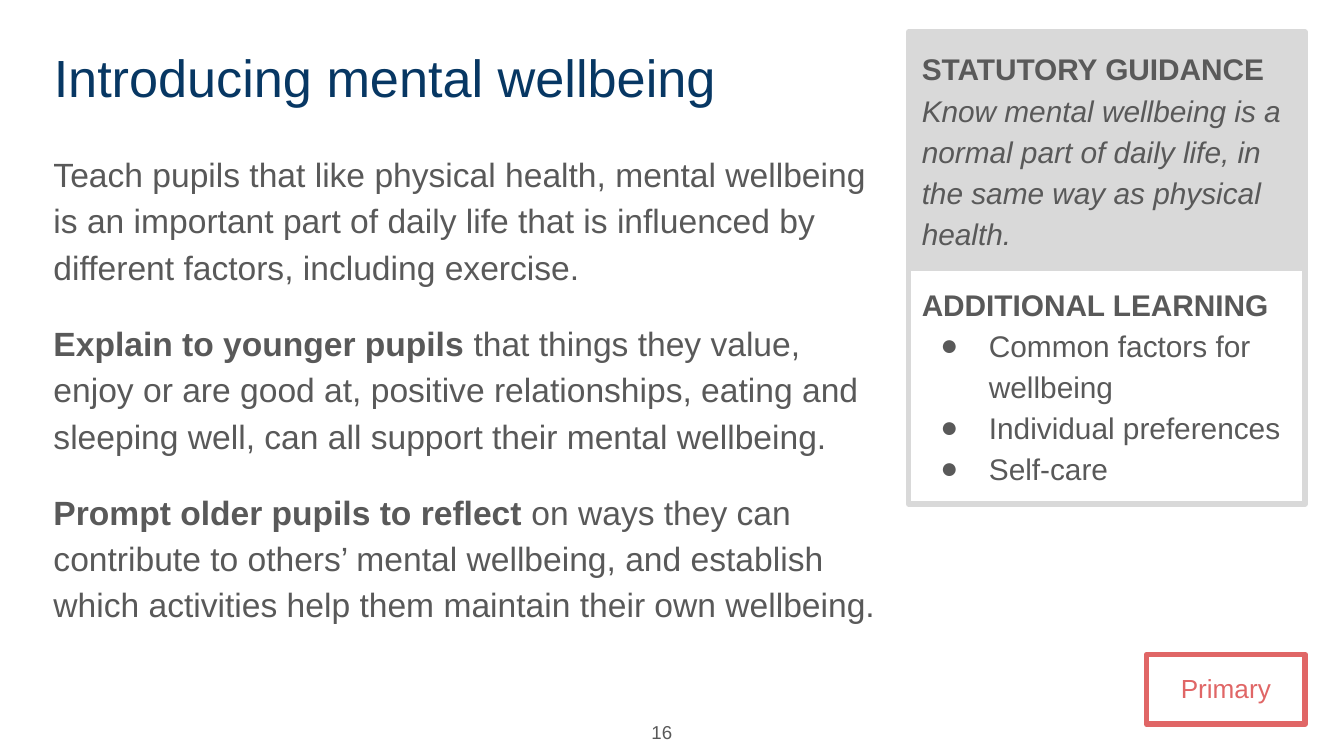
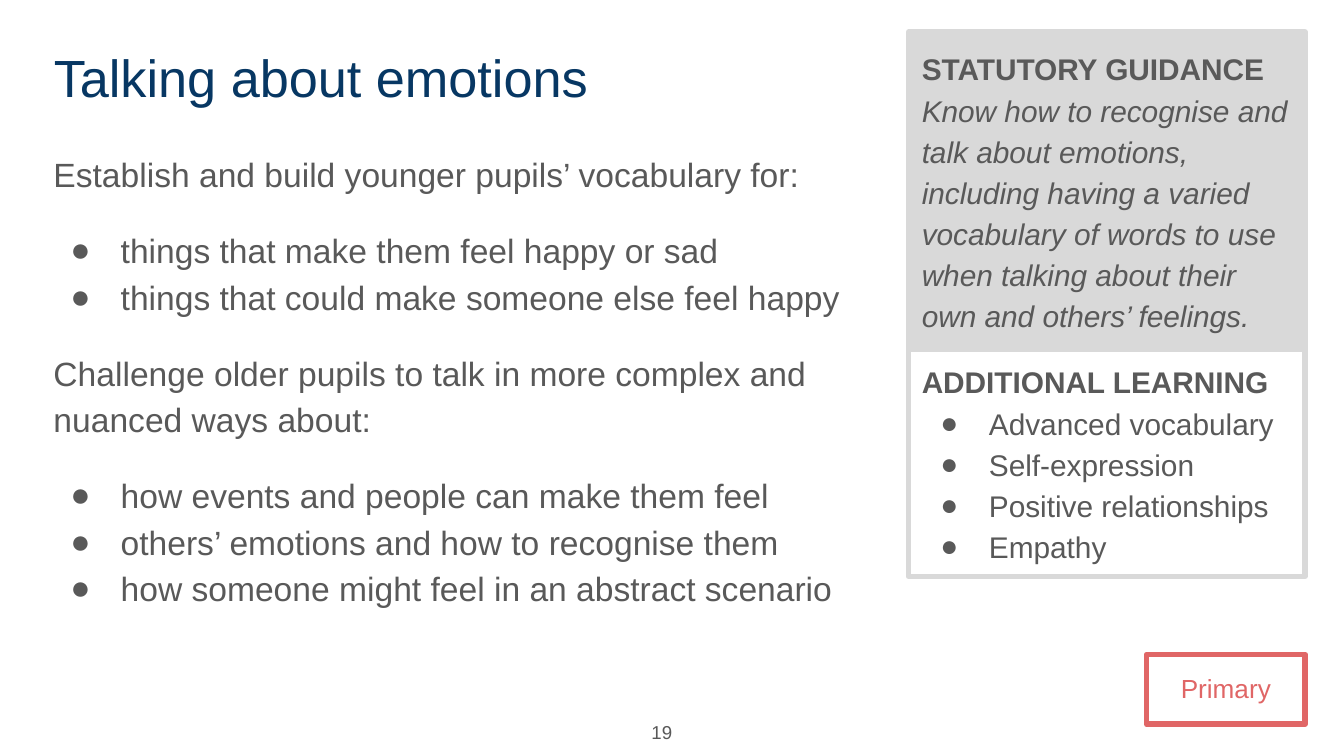
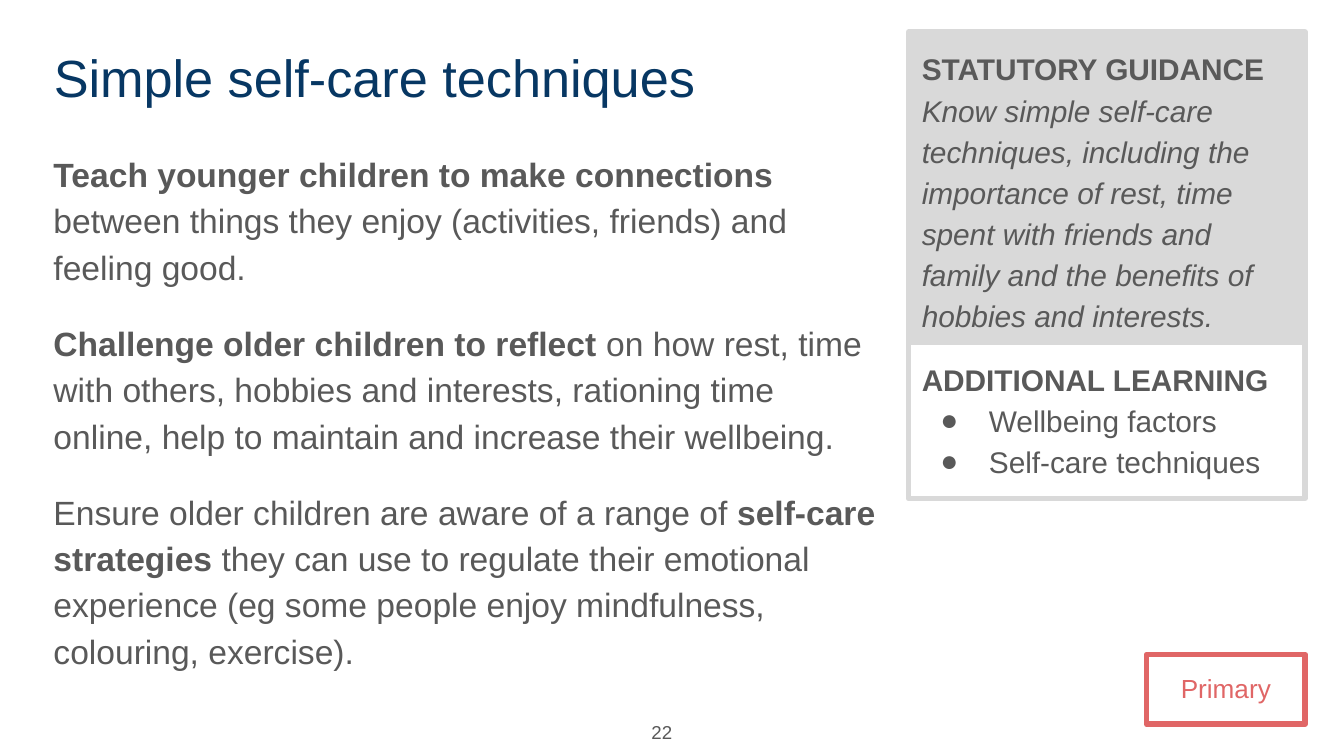
import pptx
import pptx.chart.data
import pptx.dml.color
import pptx.enum.shapes
import pptx.enum.text
import pptx.oxml.ns
import pptx.util
from lxml import etree

Pt = pptx.util.Pt
Align = pptx.enum.text.PP_ALIGN
Anchor = pptx.enum.text.MSO_ANCHOR
qn = pptx.oxml.ns.qn

FONT = "Arial"
COLOURS = {"title": "073763", "text": "595959", "panel": "D9D9D9", "tag": "E06666"}
INSET, LEADING, GAP = 7.2, 1.15, 16
LEFT, TOP = 21.6, 17.28
SIDE, SIDE_W = 486.72, 212.4

# In "body", a nested list holds bullets and *stars* mark bold words.
# "rule" is the height of the guidance panel; "extra" is top and height of the panel below.
SLIDES = [
    {
        "title": "Introducing mental wellbeing",
        "page": "16",
        "body": [
            "Teach pupils that like physical health, mental wellbeing is an important part of "
            "daily life that is influenced by different factors, including exercise.",
            "*Explain to younger pupils *that things they value, enjoy or are good at, positive "
            "relationships, eating and sleeping well, can all support their mental wellbeing.",
            "*Prompt older pupils to reflect* on ways they can contribute to others’ mental "
            "wellbeing, and establish which activities help them maintain their own wellbeing.",
        ],
        "guide": "Know mental wellbeing is a normal part of daily life, in the same way as "
                 "physical health.",
        "learn": ["Common factors for wellbeing", "Individual preferences", "Self-care"],
        "rule": 126.7,
        "extra": (143.3, 126.7),
    },
    {
        "title": "Talking about emotions",
        "page": "19",
        "body": [
            "Establish and build younger pupils’ vocabulary for:",
            ["things that make them feel happy or sad",
             "things that could make someone else feel happy"],
            "Challenge older pupils to talk in more complex and nuanced ways about:",
            ["how events and people can make them feel",
             "others’ emotions and how to recognise them",
             "how someone might feel in an abstract scenario"],
        ],
        "guide": "Know how to recognise and talk about emotions, including having a varied "
                 "vocabulary of words to use when talking about their own and others’ feelings.",
        "learn": ["Advanced vocabulary", "Self-expression", "Positive relationships", "Empathy"],
        "rule": 170,
        "extra": (185, 123.8),
    },
    {
        "title": "Simple self-care techniques",
        "page": "22",
        "body": [
            "*Teach younger children to make connections* between things they enjoy "
            "(activities, friends) and feeling good.",
            "*Challenge older children to reflect* on how rest, time with others, hobbies and "
            "interests, rationing time online, help to maintain and increase their wellbeing.",
            "Ensure older children are aware of a range of *self-care strategies* they can use "
            "to regulate their emotional experience (eg some people enjoy mindfulness, "
            "colouring, exercise).",
        ],
        "guide": "Know simple self-care techniques, including the importance of rest, time "
                 "spent with friends and family and the benefits of hobbies and interests.",
        "learn": ["Wellbeing factors", "Self-care techniques"],
        "rule": 166.3,
        "extra": (183.6, 83.5),
    },
]


def rgb(name):
    return pptx.dml.color.RGBColor.from_string(COLOURS[name])


def frame(shape, anchor=Anchor.TOP):
    """Give the shape's text frame the shared insets and wrapping."""
    text = shape.text_frame
    text.auto_size = pptx.enum.text.MSO_AUTO_SIZE.NONE
    text.word_wrap = True
    text.vertical_anchor = anchor
    text.margin_left = text.margin_right = Pt(INSET)
    text.margin_top = text.margin_bottom = Pt(INSET)
    return text


def style(para, size, colour="text", align=Align.LEFT, leading=LEADING):
    para.alignment = align
    para.line_spacing = leading
    for run in para.runs:
        run.font.name = FONT
        run.font.size = Pt(size)
        run.font.color.rgb = rgb(colour)
    for brk in para._p.findall(qn("a:br")):
        etree.SubElement(brk, qn("a:rPr")).set("sz", str(size * 100))


def bullet(para, hang):
    props = para._p.get_or_add_pPr()
    props.set("marL", str(Pt(36)))
    props.set("indent", str(-Pt(hang)))
    tint = etree.SubElement(props, qn("a:buClr"))
    etree.SubElement(tint, qn("a:srgbClr")).set("val", COLOURS["text"])
    etree.SubElement(props, qn("a:buFont")).set("typeface", FONT)
    etree.SubElement(props, qn("a:buChar")).set("char", "●")


def box(slide, left, top, width, height, line, fill=None):
    """Add a rectangle with a thick, round-cornered outline."""
    shape = slide.shapes.add_shape(pptx.enum.shapes.MSO_SHAPE.RECTANGLE,
                                   Pt(left), Pt(top), Pt(width), Pt(height))
    shape.shadow.inherit = False
    if fill:
        shape.fill.solid()
        shape.fill.fore_color.rgb = rgb(fill)
    else:
        shape.fill.background()
    shape.line.color.rgb = rgb(line)
    shape.line.width = Pt(3)
    etree.SubElement(shape.line._get_or_add_ln(), qn("a:round"))
    return frame(shape)


def label(slide, left, top, width, height, anchor=Anchor.TOP):
    return frame(slide.shapes.add_textbox(Pt(left), Pt(top), Pt(width), Pt(height)), anchor)


def head(slide, text):
    title = slide.shapes.title
    title.left, title.top, title.width, title.height = Pt(LEFT), Pt(TOP), Pt(462), Pt(45.4)
    para = frame(title).paragraphs[0]
    para.text = text
    style(para, 28, "title", leading=1.0)


def body(slide, blocks):
    text = label(slide, LEFT, 72, 455.2, 296.6)
    para = text.paragraphs[0]
    for block in blocks:
        listed = isinstance(block, list)
        for place, item in enumerate(block if listed else [block]):
            first = place == 0
            if block is not blocks[0] or not first:
                para = text.add_paragraph()
                para.space_before = Pt(GAP if first else 0)
            if listed:
                bullet(para, 27)
            for odd, piece in enumerate(item.split("*")):
                if piece:
                    run = para.add_run()
                    run.text = piece
                    run.font.bold = odd % 2 == 1
            style(para, 18)


def guide(slide, text, height):
    para = box(slide, SIDE, TOP, SIDE_W, height, "panel", "panel").paragraphs[0]
    para.text = "STATUTORY GUIDANCE\v" + text
    para.runs[0].font.bold = True
    para.runs[1].font.italic = True
    style(para, 16)


def learn(slide, items, top, height):
    text = box(slide, SIDE, top, SIDE_W, height, "panel")
    text.text = "\n".join(["ADDITIONAL LEARNING"] + items)
    for para in text.paragraphs[1:]:
        bullet(para, 26)
    for para in text.paragraphs:
        style(para, 16)
    text.paragraphs[0].runs[0].font.bold = True


def foot(slide, page):
    para = label(slide, 330, 378.7, 37.2, 26.6, Anchor.MIDDLE).paragraphs[0]
    para.text = page
    style(para, 10, align=Align.RIGHT, leading=1.0)
    para = box(slide, 614.2, 350.6, 85, 37.4, "tag").paragraphs[0]
    para.text = "Primary"
    style(para, 14, "tag", Align.CENTER)


def main():
    deck = pptx.Presentation()
    deck.slide_width, deck.slide_height = Pt(720), Pt(405)
    for data in SLIDES:
        slide = deck.slides.add_slide(deck.slide_layouts[5])
        head(slide, data["title"])
        body(slide, data["body"])
        guide(slide, data["guide"], data["rule"])
        foot(slide, data["page"])
        learn(slide, data["learn"], *data["extra"])
    deck.save("out.pptx")


if __name__ == "__main__":
    main()
